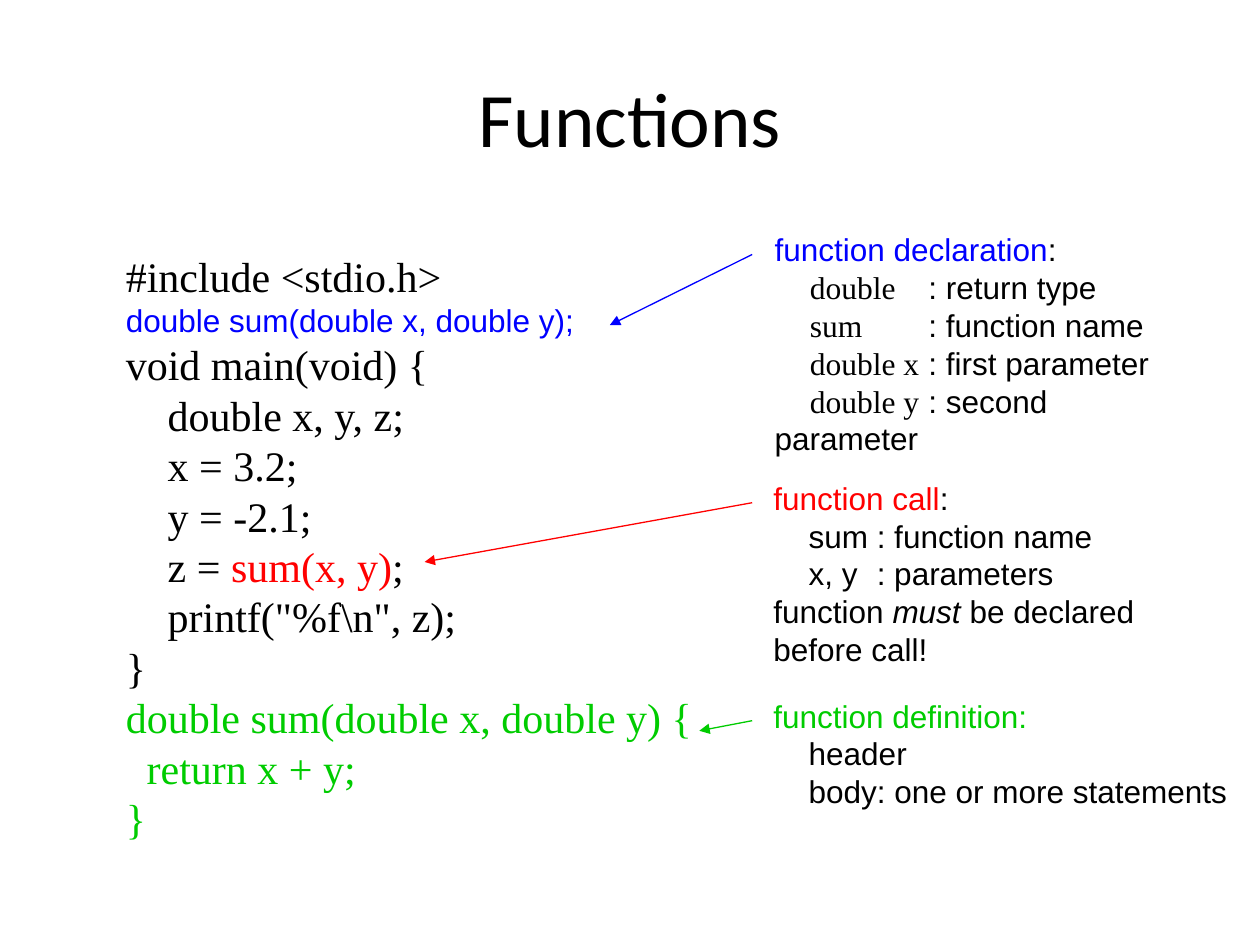
from dataclasses import dataclass

from lxml import etree
from pptx import Presentation
from pptx.dml.color import RGBColor
from pptx.enum.shapes import MSO_CONNECTOR
from pptx.enum.text import MSO_ANCHOR, PP_ALIGN
from pptx.oxml.ns import qn
from pptx.util import Inches, Pt

STRAIGHT = MSO_CONNECTOR.STRAIGHT
MIDDLE = MSO_ANCHOR.MIDDLE
CENTER = PP_ALIGN.CENTER


@dataclass(frozen=True)
class Theme:
    black: str = "000000"
    blue: str = "0000FF"
    red: str = "FF0000"
    green: str = "00CC00"
    title_font: str = "Calibri"
    code_font: str = "Times New Roman"
    note_font: str = "Arial"
    title_size: int = 44
    code_size: int = 24
    note_size: int = 18
    line_width: float = 0.75


THEME = Theme()


@dataclass(frozen=True)
class Line:
    """One paragraph: runs are (text, colour, font), None meaning the default."""
    runs: tuple
    size: int
    italic: str = ""


def code(text, color=THEME.black):
    return Line(((text, color, THEME.code_font),), THEME.code_size)


def note(*runs, italic=""):
    full = tuple((text, color or THEME.black, font or THEME.note_font)
                 for text, color, font in runs)
    return Line(full, THEME.note_size, italic)


def plain(text):
    return note((text, None, None))


def item(term, meaning):
    """An indented code term with its meaning in the next column."""
    return note((f"\t{term}", None, THEME.code_font), (f"\t: {meaning}", None, None))


class SlideBuilder:
    def __init__(self, slide, theme):
        self.slide = slide
        self.theme = theme

    def style(self, font, name, color):
        font.name = name
        font.color.rgb = RGBColor.from_string(color)

    def tab_stops(self, p, stops):
        tabs = etree.SubElement(p._p.get_or_add_pPr(), qn("a:tabLst"))
        for stop in stops:
            etree.SubElement(tabs, qn("a:tab"), pos=str(Inches(stop)), algn="l")

    def text(self, box, lines, tabs=()):
        sp = self.slide.shapes.add_textbox(*map(Inches, box))
        tf = sp.text_frame
        tf.word_wrap = False
        for i, line in enumerate(lines):
            p = tf.paragraphs[0] if i == 0 else tf.add_paragraph()
            if tabs:
                self.tab_stops(p, tabs)
            p.font.size = Pt(line.size)
            looks = {(font, color) for _, color, font in line.runs}
            if len(looks) == 1:
                self.style(p.font, *looks.pop())
            for text, color, font in line.runs:
                for j, part in enumerate(text.split("\n")):
                    if j:
                        p.add_line_break()
                    r = p.add_run()
                    r.text = part
                    if len({run[1:] for run in line.runs}) > 1:
                        self.style(r.font, font, color)
                    if part == line.italic:
                        r.font.italic = True
        return tf

    def title(self, text):
        t = self.theme
        line = Line(((text, t.black, t.title_font),), t.title_size)
        tf = self.text((0.5, 0.3, 9, 1.25), [line])
        tf.word_wrap = True
        tf.vertical_anchor = MIDDLE
        tf.paragraphs[0].alignment = CENTER

    def arrow(self, start, end, color):
        sp = self.slide.shapes.add_connector(STRAIGHT, *map(Inches, start + end))
        sp.line.color.rgb = RGBColor.from_string(color)
        sp.line.width = Pt(self.theme.line_width)
        etree.SubElement(sp.line._get_or_add_ln(), qn("a:tailEnd"), type="triangle")
        etree.SubElement(sp._element.spPr, qn("a:effectLst"))

    def callout(self, box, lines, tabs, target, color):
        """A note with an arrow from its first line to the code it explains."""
        self.text(box, lines, tabs)
        self.arrow((5.97, box[1] + 0.24), target, color)


def main():
    t = THEME
    prs = Presentation()
    prs.slide_width, prs.slide_height = Inches(10), Inches(7.5)
    s = SlideBuilder(prs.slides.add_slide(prs.slide_layouts[6]), t)

    s.title("Functions")
    call = (("    z = ", t.black, t.code_font), ("sum(x, y)", t.red, t.code_font),
            (";", t.black, t.code_font))
    s.text((0.9, 1.94, 4.74, 4.95), [
        code("#include <stdio.h>"),
        note(("double sum(double x, double y);", t.blue, None)),
        code("void main(void) {"),
        code("    double x, y, z;"),
        code("    x = 3.2;"),
        code("    y = -2.1;"),
        Line(call, t.code_size),
        code('    printf("%f\\n", z);'),
        code("}"),
        code("double sum(double x, double y) {", t.green),
        code("  return x + y;", t.green),
        code("}", t.green),
    ])

    indent = 0.28
    s.callout((6.04, 3.75, 3.09, 1.62), [
        note(("function call", t.red, None), (":", None, None)),
        plain("\tsum\t: function name"),
        plain("\tx, y\t: parameters"),
        note(("function ", None, None), ("must", None, None),
             (" be declared\nbefore call!", None, None), italic="must"),
    ], (indent, 0.82), (3.37, 4.46), t.red)
    s.callout((6.04, 5.48, 3.8, 1), [
        note(("function definition:", t.green, None)),
        plain("\theader"),
        plain("\tbody: one or more statements"),
    ], (indent,), (5.55, 5.8), t.green)
    s.callout((6.05, 1.78, 3.57, 1.6), [
        note(("function declaration", t.blue, None), (":", None, None)),
        item("double", "return type"),
        item("sum", "function name"),
        item("double x", "first parameter"),
        item("double y", "second parameter"),
    ], (indent, 1.22), (4.84, 2.58), t.blue)

    prs.save("out.pptx")


if __name__ == "__main__":
    main()
